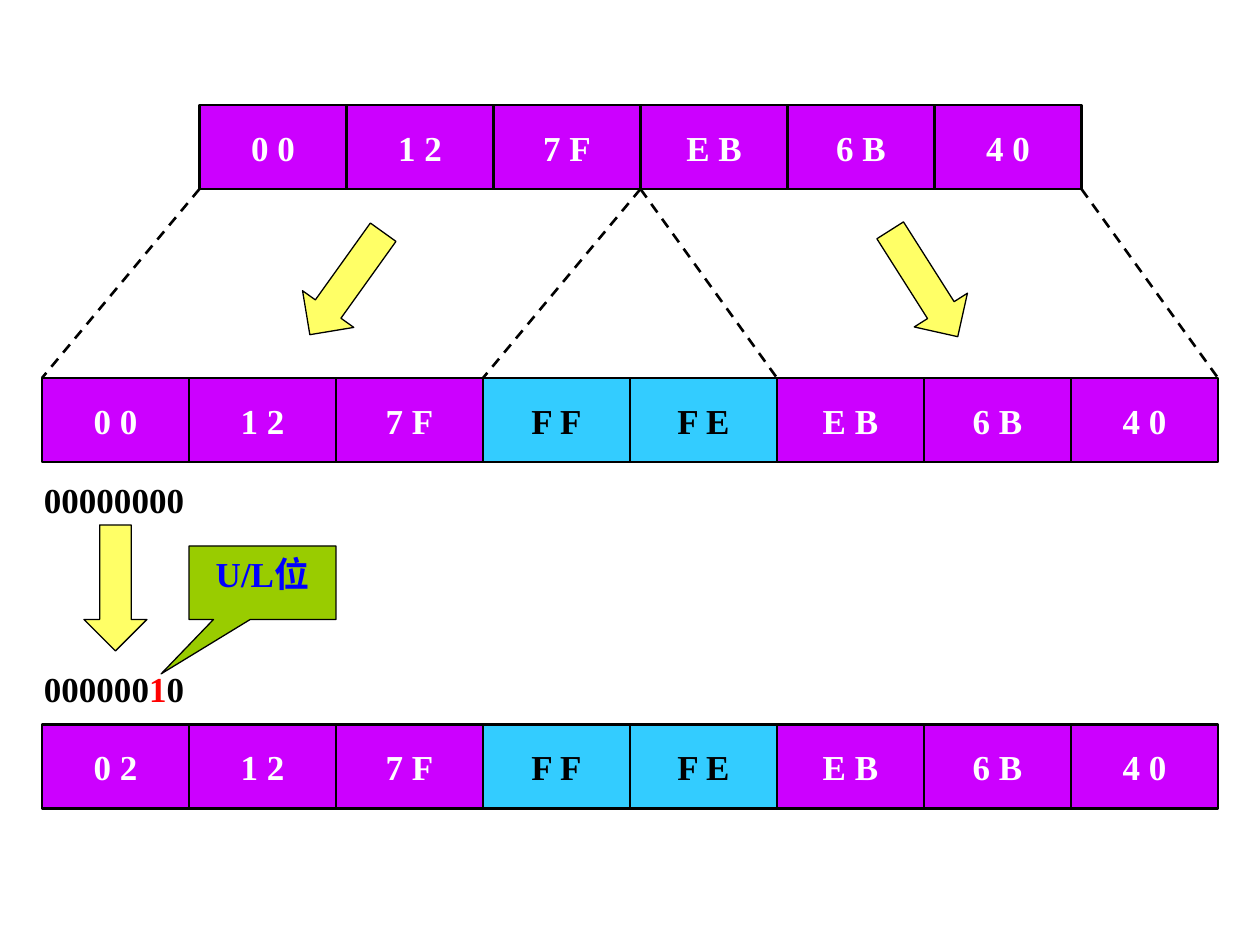
from lxml import etree
from pptx import Presentation
from pptx import util as u
from pptx.dml.color import RGBColor
from pptx.enum import dml, shapes, text
from pptx.oxml.ns import qn

PX = 9525
CELL_W, CELL_H = 112, 64
FONT = "Times New Roman"
BLACK = RGBColor(0x00, 0x00, 0x00)
WHITE = RGBColor(0xFF, 0xFF, 0xFF)
RED = RGBColor(0xFF, 0x00, 0x00)
BLUE = RGBColor(0x00, 0x00, 0xFF)
PURPLE = RGBColor(0xCC, 0x00, 0xFF)
CYAN = RGBColor(0x33, 0xCC, 0xFF)
YELLOW = RGBColor(0xFF, 0xFF, 0x66)
GREEN = RGBColor(0x99, 0xCC, 0x00)
INSERTED = ("F F", "F E")


def px(*values):
    """Turn pixel lengths into EMU."""
    return [u.Emu(v * PX) for v in values]


def add_run(p, content, color=BLACK, size=20, bold=True):
    """Append a formatted run to a paragraph."""
    r = p.add_run()
    r.text = content
    r.font.name, r.font.size, r.font.bold = FONT, u.Pt(size), bold
    r.font.color.rgb = color


def add_block(s, kind, box, fill, weight=0.75, rotation=0, adjustments=()):
    """Add a filled, black-outlined preset shape."""
    sp = s.shapes.add_shape(kind, *px(*box))
    sp.shadow.inherit = False
    sp.fill.solid()
    sp.fill.fore_color.rgb = fill
    sp.line.color.rgb = BLACK
    sp.line.width = u.Pt(weight)
    sp.rotation = rotation
    for i, value in enumerate(adjustments):
        sp.adjustments[i] = value
    return sp


def add_centered(sp, content, color, anchor):
    """Write one centred line inside a shape."""
    tf = sp.text_frame
    tf.vertical_anchor = anchor
    p = tf.paragraphs[0]
    p.alignment = text.PP_ALIGN.CENTER
    add_run(p, content, color=color)


def add_byte_row(s, left, top, octets):
    """Draw a row of address octets, with the inserted pair highlighted."""
    for i, octet in enumerate(octets):
        fill, color = (CYAN, BLACK) if octet in INSERTED else (PURPLE, WHITE)
        box = (left + i * CELL_W, top, CELL_W, CELL_H)
        sp = add_block(s, shapes.MSO_SHAPE.RECTANGLE, box, fill, weight=1.5)
        add_centered(sp, octet, color, text.MSO_ANCHOR.MIDDLE)


def add_projection(s, start, end):
    """Draw a dashed line between two row corners."""
    c = s.shapes.add_connector(shapes.MSO_CONNECTOR.STRAIGHT, *px(*start, *end))
    c.line.color.rgb = BLACK
    c.line.width = u.Pt(1.5)
    c.line.dash_style = dml.MSO_LINE.DASH
    etree.SubElement(c._element.spPr, qn("a:effectLst"))


def add_arrow(s, left, top, rotation=0):
    """Draw a yellow block arrow."""
    add_block(s, shapes.MSO_SHAPE.DOWN_ARROW, (left, top, 48, 96), YELLOW,
              rotation=rotation)


def add_bits(s, left, top, parts):
    """Write the bits of the first octet."""
    tf = s.shapes.add_textbox(*px(left, top, 128, 41)).text_frame
    tf.word_wrap = True
    for content, color in parts:
        add_run(tf.paragraphs[0], content, color=color)


def add_expansion(s, left, top):
    """Draw the six-octet address spreading into eight octets."""
    first, second = ["0 0", "1 2", "7 F"], ["E B", "6 B", "4 0"]
    mac_left, wide_top = left + 120, top + 208
    add_byte_row(s, mac_left, top, first + second)
    add_byte_row(s, left, wide_top, [*first, *INSERTED, *second])
    for upper, lower in ((0, 0), (3, 3), (3, 5), (6, 8)):
        add_projection(s, (mac_left + upper * CELL_W, top + CELL_H),
                       (left + lower * CELL_W, wide_top))
    add_arrow(s, left + 208, top + 88, rotation=35.6)
    add_arrow(s, left + 648, top + 88, rotation=327.6)


def add_bit_flip(s, left, top):
    """Draw the U/L bit being set and the resulting identifier."""
    add_bits(s, left - 8, top, [("00000000", BLACK)])
    add_bits(s, left - 8, top + 144, [("000000", BLACK), ("1", RED), ("0", BLACK)])
    add_arrow(s, left + 32, top + 40)
    sp = add_block(s, shapes.MSO_SHAPE.RECTANGULAR_CALLOUT,
                   (left + CELL_W, top + 56, CELL_W, 56), GREEN,
                   adjustments=(-0.69, 1.24))
    add_centered(sp, "U/L位", BLUE, text.MSO_ANCHOR.TOP)
    add_byte_row(s, left, top + 192,
                 ["0 2", "1 2", "7 F", *INSERTED, "E B", "6 B", "4 0"])


def main():
    """Build and save the slide."""
    prs = Presentation()
    prs.slide_width, prs.slide_height = px(960, 720)
    s = prs.slides.add_slide(prs.slide_layouts[6])
    add_expansion(s, 32, 80)
    add_bit_flip(s, 32, 360)
    prs.save("out.pptx")


if __name__ == "__main__":
    main()
